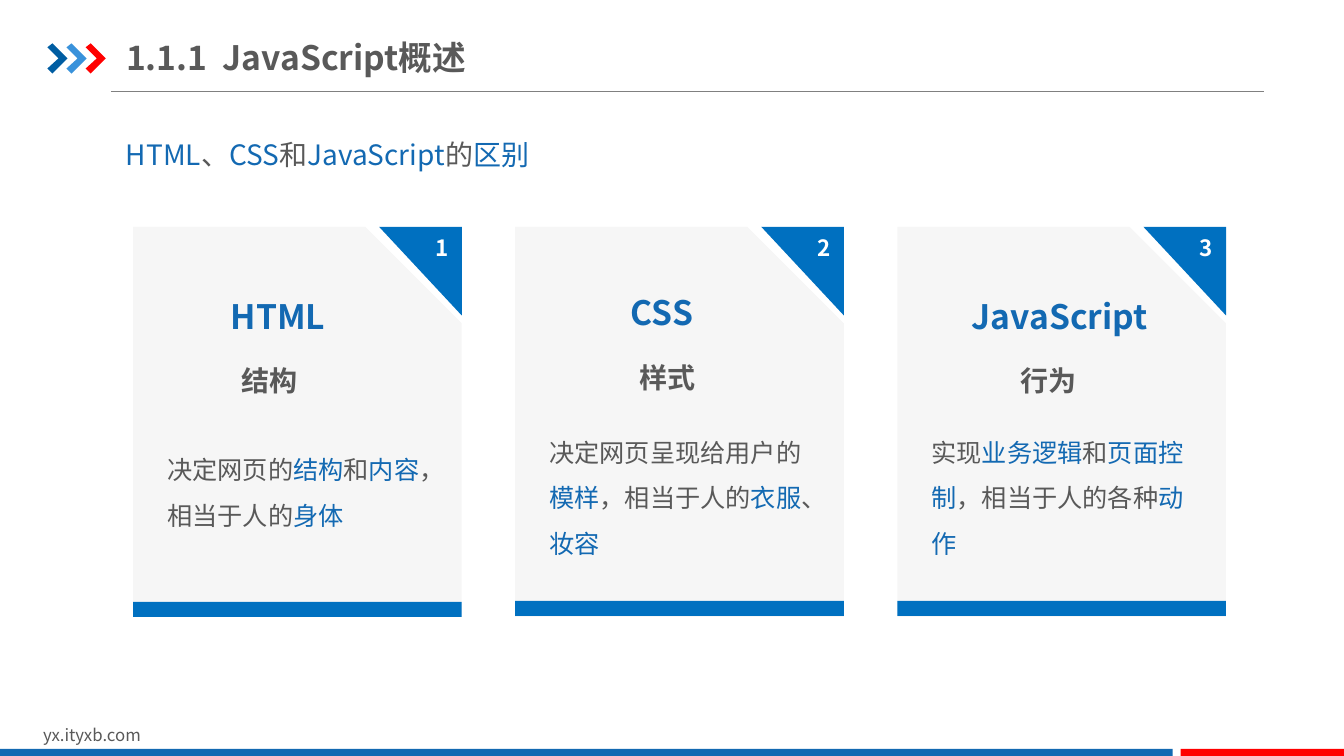
from lxml import etree
from pptx import Presentation
from pptx.dml.color import RGBColor
from pptx.enum.shapes import MSO_CONNECTOR, MSO_SHAPE
from pptx.enum.text import MSO_ANCHOR, MSO_AUTO_SIZE, PP_ALIGN
from pptx.oxml.ns import qn
from pptx.util import Inches, Pt

LINE = MSO_CONNECTOR.STRAIGHT
RECT = MSO_SHAPE.RECTANGLE
SNIP = MSO_SHAPE.SNIP_1_RECTANGLE
TOP, MIDDLE = MSO_ANCHOR.TOP, MSO_ANCHOR.MIDDLE
GROW, FIXED = MSO_AUTO_SIZE.SHAPE_TO_FIT_TEXT, MSO_AUTO_SIZE.NONE
LEFT, RIGHT = PP_ALIGN.LEFT, PP_ALIGN.RIGHT

FONT = "Noto Sans CJK SC"
TEXT = RGBColor(0x59, 0x59, 0x59)
ACCENT = RGBColor(0x13, 0x69, 0xB2)
BLUE = RGBColor(0x00, 0x70, 0xC0)
NAVY = RGBColor(0x00, 0x5D, 0xA2)
SKY = RGBColor(0x39, 0x92, 0xDB)
RED = RGBColor(0xFF, 0x00, 0x00)
PALE = RGBColor(0xF6, 0xF6, 0xF6)
GRAY = RGBColor(0x80, 0x80, 0x80)
WHITE = RGBColor(0xFF, 0xFF, 0xFF)

CHEVRON = [(0, 0.04), (0.05, 0), (0.2, 0.15), (0.05, 0.3), (0, 0.25), (0.11, 0.15)]
CORNER = [(0.82, 0), (0, 0), (0.82, 0.88)]

# Each card: name, name offset, role, role offset, detail, detail top, bar top
CARDS = [
    ("HTML", (0.87, 0.44), "结构", (0.98, 1.14),
     "决定网页的*结构*和*内容*，相当于人的*身体*", 2.06, 3.72),
    ("CSS", (1.05, 0.4), "样式", (1.13, 1.11),
     "决定网页呈现给用户的*模样*，相当于人的*衣服*、*妆容*", 1.89, 3.71),
    ("JavaScript", (0.64, 0.44), "行为", (1.12, 1.14),
     "实现*业务逻辑*和*页面控制*，相当于人的各种*动作*", 1.89, 3.71),
]


def assign(target, values):
    for key, value in values.items():
        setattr(target, key, value)


def write(frame, text, size, color=TEXT, bold=False, align=LEFT, spacing=1.0):
    """Fill the first paragraph; parts between asterisks take the accent colour."""
    para = frame.paragraphs[0]
    assign(para, {"alignment": align, "line_spacing": spacing})
    for i, part in enumerate(text.split("*")):
        if not part:
            continue
        run = para.add_run()
        run.text = part
        assign(run.font, {"size": Pt(size), "bold": bold, "name": FONT})
        run.font.color.rgb = ACCENT if i % 2 else color
        props = run._r.get_or_add_rPr()
        etree.SubElement(props, qn("a:ea"), typeface=FONT)


def label(slide, x, y, w, h, text, size, **style):
    box = slide.shapes.add_textbox(Inches(x), Inches(y), Inches(w), Inches(h))
    assign(box.text_frame, {"word_wrap": True, "auto_size": GROW})
    write(box.text_frame, text, size, **style)


def paint(shape, color):
    shape.shadow.inherit = False
    shape.fill.solid()
    shape.fill.fore_color.rgb = color
    shape.line.fill.background()
    return shape


def block(slide, kind, x, y, w, h, color):
    shape = slide.shapes.add_shape(kind, Inches(x), Inches(y), Inches(w), Inches(h))
    return paint(shape, color)


def outline(slide, x, y, points, color):
    spots = [(Inches(x + dx), Inches(y + dy)) for dx, dy in points]
    form = slide.shapes.build_freeform(*spots[0])
    form.add_line_segments(spots[1:], close=True)
    return paint(form.convert_to_shape(), color)


def header(slide, x, y):
    for i, color in enumerate((NAVY, SKY, RED)):
        outline(slide, x + 0.19 * i, y + 0.14, CHEVRON, color)

    title = slide.shapes.title
    assign(title, {"left": Inches(x + 0.78), "top": Inches(y),
                   "width": Inches(4.26), "height": Inches(0.55)})
    assign(title.text_frame, {
        "margin_left": 0, "margin_right": 0,
        "margin_top": Inches(0.07), "margin_bottom": Inches(0.07),
        "vertical_anchor": MIDDLE, "word_wrap": True, "auto_size": FIXED})
    write(title.text_frame, "1.1.1  JavaScript概述", 24, bold=True)

    level = Inches(y + 0.62)
    rule = slide.shapes.add_connector(LINE, Inches(x + 0.63), level,
                                      Inches(x + 12.07), level)
    rule.line.color.rgb = GRAY
    rule.line.width = Pt(0.75)
    etree.SubElement(rule._element.spPr, qn("a:effectLst"))


def footer(slide, y):
    label(slide, 0.33, y, 3.18, 0.3, "yx.ityxb.com", 12)
    block(slide, RECT, 0, y + 0.29, 11.63, 0.09, ACCENT)
    block(slide, RECT, 11.71, y + 0.29, 1.63, 0.09, RED)


def card(slide, x, y, w, h, number, content):
    name, spot, role, place, detail, drop, base = content
    block(slide, SNIP, x, y, w, h, PALE).adjustments[0] = 0.294
    block(slide, RECT, x, y + base, w, 0.15, BLUE)

    corner = outline(slide, x + w - 0.82, y, CORNER, BLUE)
    assign(corner.text_frame, {
        "margin_left": Inches(0.13), "margin_right": Inches(0.13),
        "margin_top": Inches(0.07), "margin_bottom": Inches(0.07),
        "vertical_anchor": TOP})
    write(corner.text_frame, str(number), 16, color=WHITE, bold=True, align=RIGHT)

    label(slide, x + spot[0], y + spot[1], 2.4, 0.64, name, 24,
          color=ACCENT, bold=True, spacing=1.5)
    label(slide, x + place[0], y + place[1], 2.4, 0.6, role, 20,
          bold=True, spacing=1.5)
    label(slide, x + 0.24, y + drop, 2.89, 1.46, detail, 18, spacing=1.5)


def main():
    deck = Presentation()
    assign(deck, {"slide_width": Inches(13.33), "slide_height": Inches(7.5)})
    slide = deck.slides.add_slide(deck.slide_layouts[5])
    header(slide, 0.47, 0.29)
    label(slide, 1.15, 1.15, 6.67, 0.55,
          "*HTML*、*CSS*和*JavaScript*的*区别*", 20, spacing=1.5)
    for i, content in enumerate(CARDS):
        card(slide, 1.32 + 3.79 * i, 2.25, 3.26, 3.87, i + 1, content)
    footer(slide, 7.14)
    deck.save("out.pptx")


if __name__ == "__main__":
    main()
